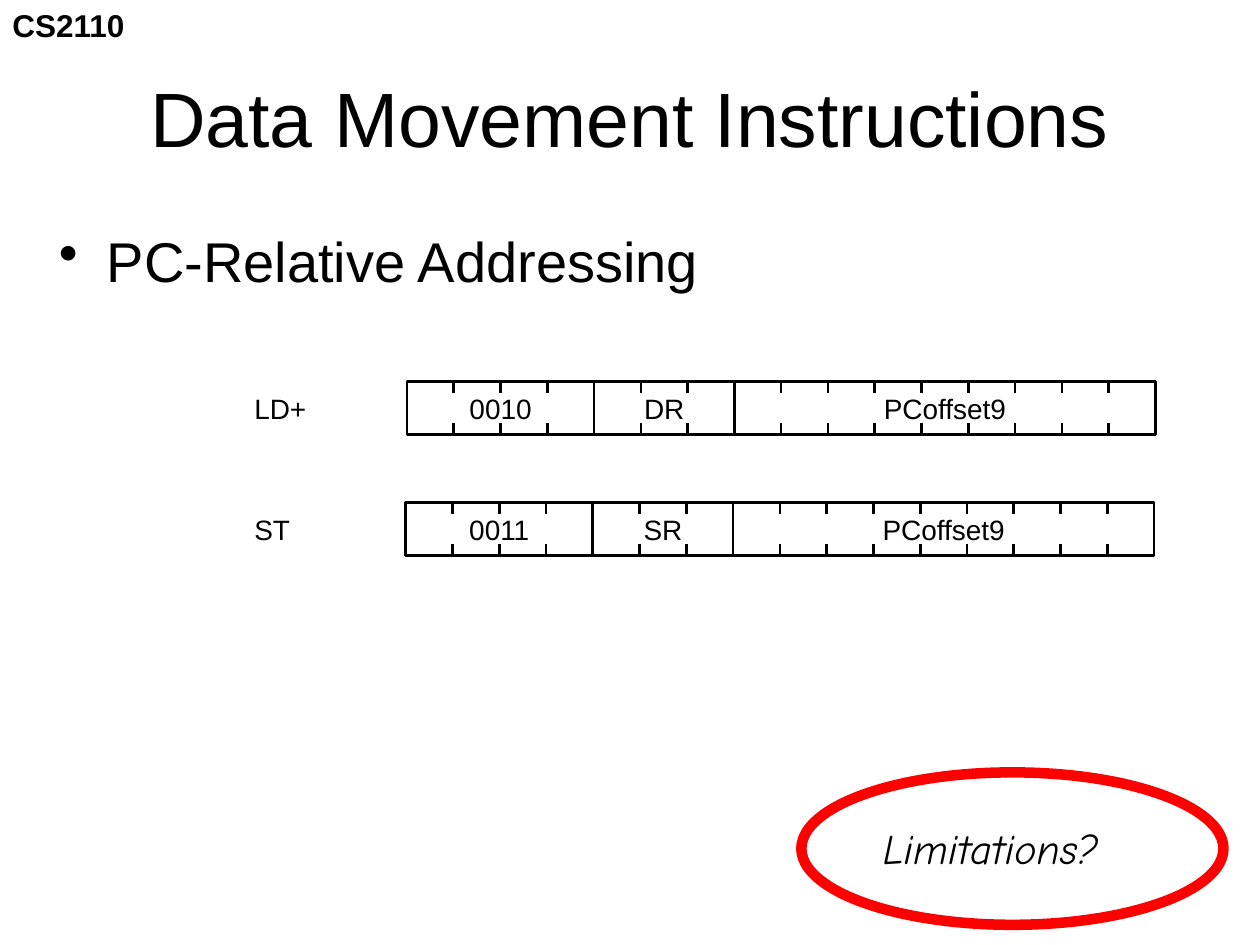
from dataclasses import dataclass

import pptx
import pptx.dml.color
import pptx.enum.shapes
import pptx.enum.text
import pptx.oxml.ns
import pptx.oxml.xmlchemy
import pptx.util
from pptx.util import Inches

BLACK = pptx.dml.color.RGBColor(0x00, 0x00, 0x00)
RED = pptx.dml.color.RGBColor(0xFF, 0x00, 0x00)
FONT = "Arial"
HAND_FONT = "Comic Neue"

WORD_WIDTH = 5.94
BIT_WIDTH = WORD_WIDTH / 16
FIELD_HEIGHT = 0.42
TICK_HEIGHT = 0.09
LABEL_HEIGHT = 0.37
LABEL_OFFSET = 0.03
MNEMONIC_LEFT = 1.92

ALIGN = pptx.enum.text.PP_ALIGN
SHAPE = pptx.enum.shapes.MSO_SHAPE


@dataclass(frozen=True)
class Field:
    label: str
    bits: int
    label_width: float


@dataclass(frozen=True)
class Instruction:
    mnemonic: str
    mnemonic_width: float
    left: float
    top: float
    fields: tuple[Field, ...]


OFFSET_FIELD = Field("PCoffset9", 9, 1.18)
INSTRUCTIONS = (
    Instruction("LD+", 0.61, 3.23, 3.03,
                (Field("0010", 4, 0.69), Field("DR", 3, 0.52), OFFSET_FIELD)),
    Instruction("ST", 0.48, 3.22, 3.99,
                (Field("0011", 4, 0.69), Field("SR", 3, 0.51), OFFSET_FIELD)),
)


def format_text(text_frame, size: float, font_name: str = FONT, bold: bool = False,
                italic: bool = False, alignment=ALIGN.LEFT) -> None:
    for paragraph in text_frame.paragraphs:
        paragraph.alignment = alignment
        for run in paragraph.runs:
            run.font.name = font_name
            run.font.size = pptx.util.Pt(size)
            run.font.bold = bold
            run.font.italic = italic
            run.font.color.rgb = BLACK


def add_text(shapes, text: str, left: float, top: float, width: float, height: float,
             size: float, **style):
    shape = shapes.add_textbox(Inches(left), Inches(top), Inches(width), Inches(height))
    shape.text_frame.word_wrap = False
    shape.text_frame.text = text
    format_text(shape.text_frame, size, **style)
    return shape


def add_outline(shapes, kind, left: float, top: float, width: float, height: float,
                color, line_width: float) -> None:
    """Add an unfilled shape."""
    shape = shapes.add_shape(kind, Inches(left), Inches(top), Inches(width), Inches(height))
    shape.shadow.inherit = False
    shape.fill.background()
    shape.line.color.rgb = color
    shape.line.width = pptx.util.Pt(line_width)


def add_tick(shapes, x: float, top: float) -> None:
    connector = shapes.add_connector(
        pptx.enum.shapes.MSO_CONNECTOR.STRAIGHT,
        Inches(x), Inches(top), Inches(x), Inches(top + TICK_HEIGHT))
    connector.line.color.rgb = BLACK
    connector.line.width = pptx.util.Pt(1.5)
    properties = connector.element.find(pptx.oxml.ns.qn("p:spPr"))
    properties.append(pptx.oxml.xmlchemy.OxmlElement("a:effectLst"))


def add_field(shapes, field: Field, left: float, top: float) -> None:
    """Draw a field with ticks at its inner bit boundaries and a centred label."""
    width = field.bits * BIT_WIDTH
    add_outline(shapes, SHAPE.RECTANGLE, left, top, width, FIELD_HEIGHT, BLACK, 1.5)
    for bit in range(1, field.bits):
        for tick_top in (top, top + FIELD_HEIGHT - TICK_HEIGHT):
            add_tick(shapes, left + bit * BIT_WIDTH, tick_top)
    add_text(shapes, field.label, left + (width - field.label_width) / 2,
             top + LABEL_OFFSET, field.label_width, LABEL_HEIGHT, 16,
             alignment=ALIGN.CENTER)


def add_instruction(slide, instruction: Instruction) -> None:
    shapes = slide.shapes.add_group_shape().shapes
    add_text(shapes, instruction.mnemonic, MNEMONIC_LEFT, instruction.top + LABEL_OFFSET,
             instruction.mnemonic_width, LABEL_HEIGHT, 16)
    left = instruction.left
    for field in instruction.fields:
        add_field(shapes, field, left, instruction.top)
        left += field.bits * BIT_WIDTH


def add_title(slide, text: str) -> None:
    title = slide.shapes.title
    title.left, title.top = Inches(0.5), Inches(0.3)
    title.width, title.height = Inches(9), Inches(1.25)
    title.text_frame.text = text
    title.text_frame.vertical_anchor = pptx.enum.text.MSO_ANCHOR.MIDDLE
    format_text(title.text_frame, 44, alignment=ALIGN.CENTER)


def add_bullet(slide, text: str) -> None:
    shape = add_text(slide.shapes, text, 0.37, 1.75, 9, 5.58, 32)
    shape.text_frame.word_wrap = True
    properties = shape.text_frame.paragraphs[0]._p.get_or_add_pPr()
    properties.set("marL", str(Inches(0.38)))
    properties.set("indent", str(Inches(-0.38)))
    bullet = pptx.oxml.xmlchemy.OxmlElement("a:buChar")
    bullet.set("char", "•")
    properties.append(bullet)


def main() -> None:
    presentation = pptx.Presentation()
    presentation.slide_width = Inches(10)
    presentation.slide_height = Inches(7.5)
    slide = presentation.slides.add_slide(presentation.slide_layouts[5])

    add_text(slide.shapes, "CS2110", 0, 0, 1.1, 0.4, 18, bold=True)
    add_title(slide, "Data Movement Instructions")
    add_bullet(slide, "PC-Relative Addressing")
    for instruction in INSTRUCTIONS:
        add_instruction(slide, instruction)
    add_text(slide.shapes, "Limitations?", 6.91, 6.48, 2.1, 0.5, 24,
             font_name=HAND_FONT, italic=True)
    add_outline(slide.shapes, SHAPE.OVAL, 6.36, 6.13, 3.35, 1.21, RED, 6)

    presentation.save("out.pptx")


if __name__ == "__main__":
    main()
